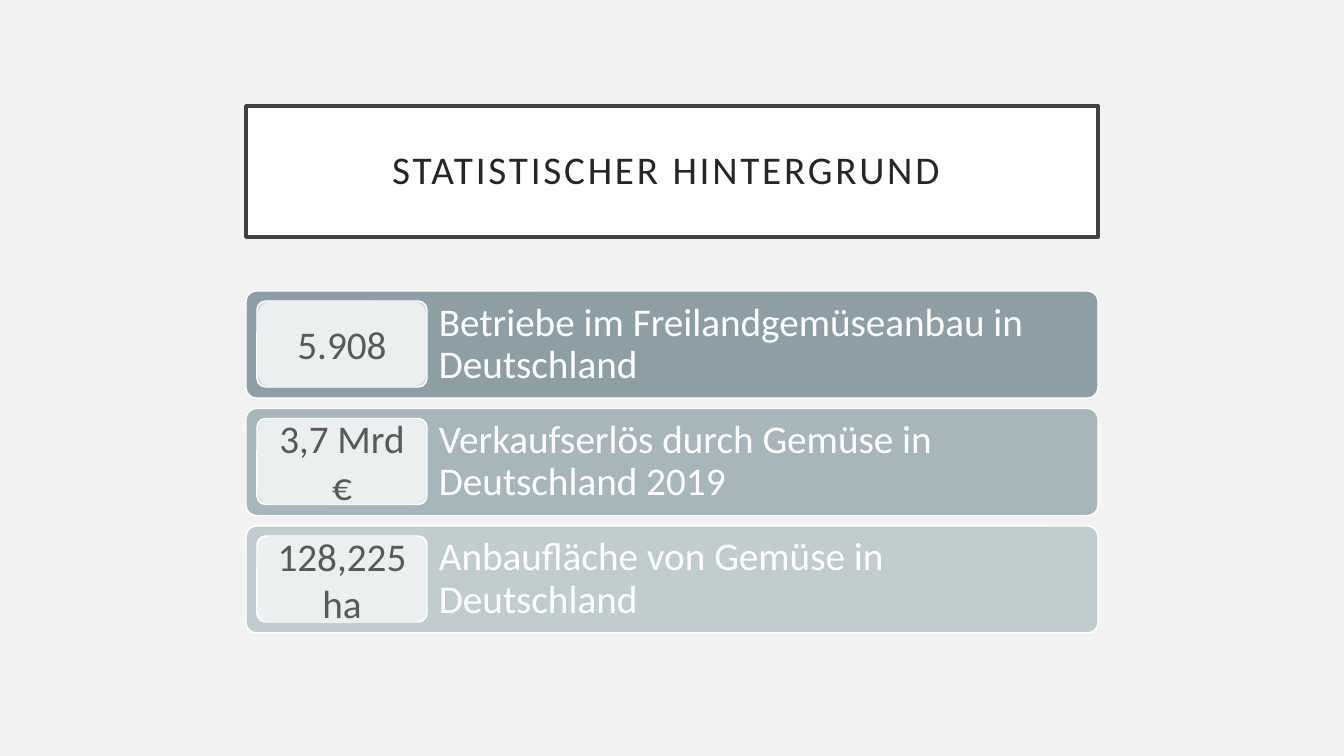
from pptx import Presentation
from pptx import util as u
from pptx.dml import color
from pptx.enum import shapes, text

EMU_PER_PX = 914400 / 100.8
FACTS = [
    ("5.908", "Betriebe im Freilandgemüseanbau in Deutschland", "8D9FA4", "D5DCDE"),
    ("3,7 Mrd €", "Verkaufserlös durch Gemüse in Deutschland 2019", "A7B6BA", "E2E7E8"),
    ("128,225 ha", "Anbaufläche von Gemüse in Deutschland", "C1CCCF", "EFF2F2"),
]


def px(length):
    """Turn pixels into EMU."""
    return u.Emu(round(length * EMU_PER_PX))


def rgb(value):
    """Turn a hex string into a colour."""
    return color.RGBColor.from_string(value)


def place(shape, box):
    """Move and size a shape to a pixel box."""
    shape.left, shape.top, shape.width, shape.height = map(px, box)


def paint(shape, fill, line=None, width=1):
    """Fill a shape and draw its outline, if it has one."""
    shape.fill.solid()
    shape.fill.fore_color.rgb = rgb(fill)
    if line:
        shape.line.color.rgb = rgb(line)
        shape.line.width = u.Pt(width)
    else:
        shape.line.fill.background()


def write(shape, content, ink, align=text.PP_ALIGN.LEFT, inset=None, leading=None, tracking=None):
    """Write one formatted paragraph, centred vertically in a shape."""
    frame = shape.text_frame
    frame.word_wrap = True
    frame.auto_size = text.MSO_AUTO_SIZE.NONE
    frame.vertical_anchor = text.MSO_ANCHOR.MIDDLE
    if inset is not None:
        frame.margin_left = frame.margin_right = px(inset)
        frame.margin_top = frame.margin_bottom = px(inset)
    paragraph = frame.paragraphs[0]
    paragraph.alignment = align
    paragraph.line_spacing = leading
    run = paragraph.add_run()
    run.text = content
    run.font.name = "Calibri"
    run.font.size = u.Pt(28)
    run.font.color.rgb = rgb(ink)
    if tracking:
        run.font._element.set("spc", str(tracking * 100))


def add_rounded(slide, box, fill, line=None, corner=0.1):
    """Add a rounded rectangle without a shadow."""
    shape = slide.shapes.add_shape(shapes.MSO_SHAPE.ROUNDED_RECTANGLE, *map(px, box))
    shape.shadow.inherit = False
    shape.adjustments[0] = corner
    paint(shape, fill, line)
    return shape


def add_title(slide, box):
    """Set the framed title in its placeholder."""
    title = slide.shapes.title
    place(title, box)
    paint(title, "FFFFFF", "404040", 2.5)
    write(title, "STATISTISCHER HINTERGRUND ", "262626", text.PP_ALIGN.CENTER,
          inset=20, leading=0.9, tracking=2)


def add_fact(slide, box, fact):
    """Add one bar with its figure on the left and its description."""
    figure, description, bar_fill, badge_fill = fact
    left, top, width, height = box
    add_rounded(slide, box, bar_fill, "FFFFFF")
    caption = slide.shapes.add_textbox(*map(px, (left + 181, top, width - 181, height)))
    write(caption, description, "FFFFFF", inset=12, leading=0.9)
    add_rounded(slide, (left + 11, top + 10, 170, 86), badge_fill, "FFFFFF")
    badge = add_rounded(slide, (left + 12, top + 10, 168, 86), "EBEFF0", corner=0.17)
    write(badge, figure, "595959", text.PP_ALIGN.CENTER)


def add_facts(slide, box):
    """Spread the fact bars evenly over the height of the box."""
    left, top, width, height = box
    bar_height = 107
    pitch = (height - bar_height) / (len(FACTS) - 1)
    for index, fact in enumerate(FACTS):
        add_fact(slide, (left, top + index * pitch, width, bar_height), fact)


def main():
    """Build and save the slide."""
    presentation = Presentation()
    presentation.slide_width, presentation.slide_height = px(1344), px(756)
    slide = presentation.slides.add_slide(presentation.slide_layouts[5])
    slide.background.fill.solid()
    slide.background.fill.fore_color.rgb = rgb("F2F2F2")
    add_title(slide, (246, 106, 852, 131))
    add_facts(slide, (246, 291, 852, 342))
    presentation.save("out.pptx")


if __name__ == "__main__":
    main()
